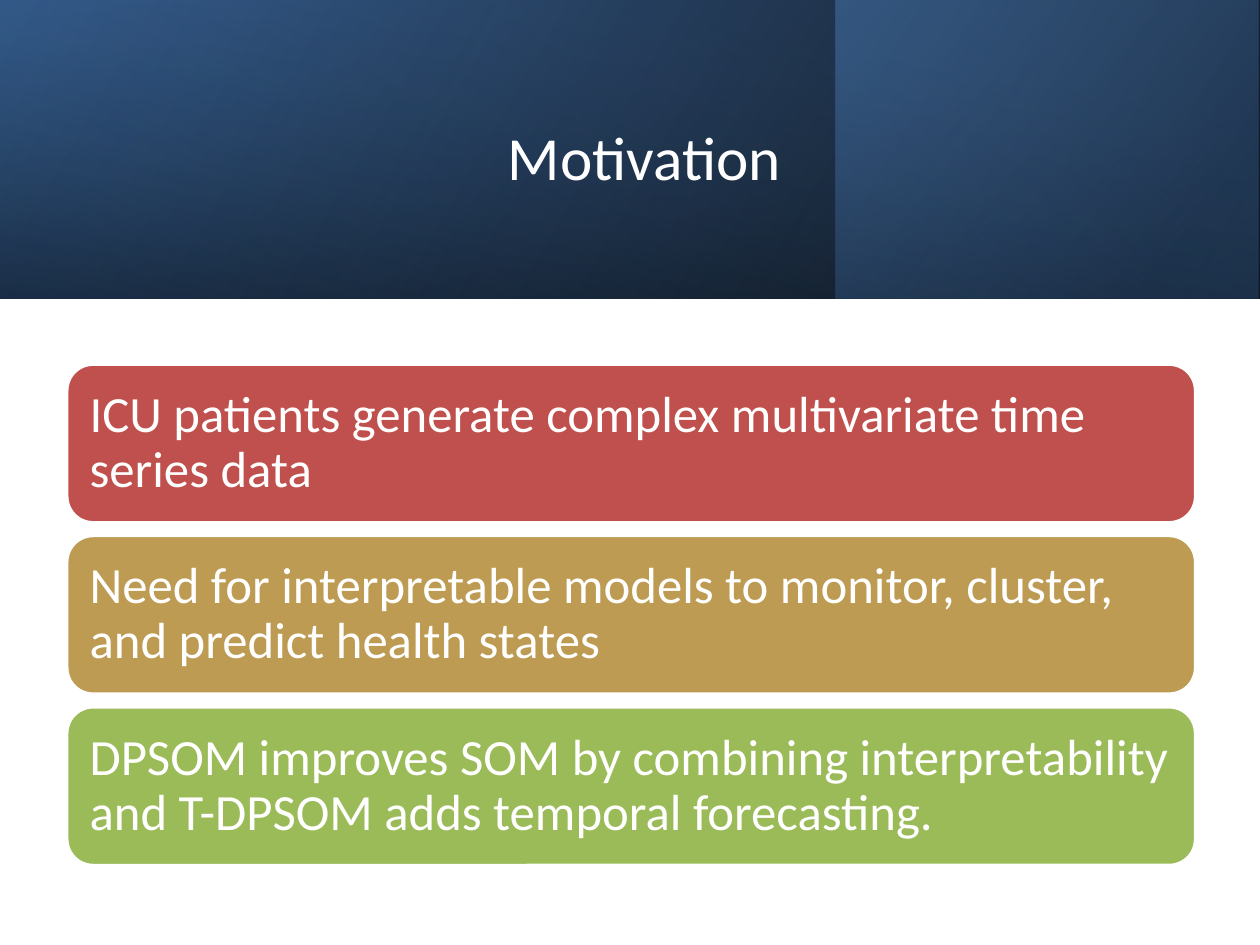
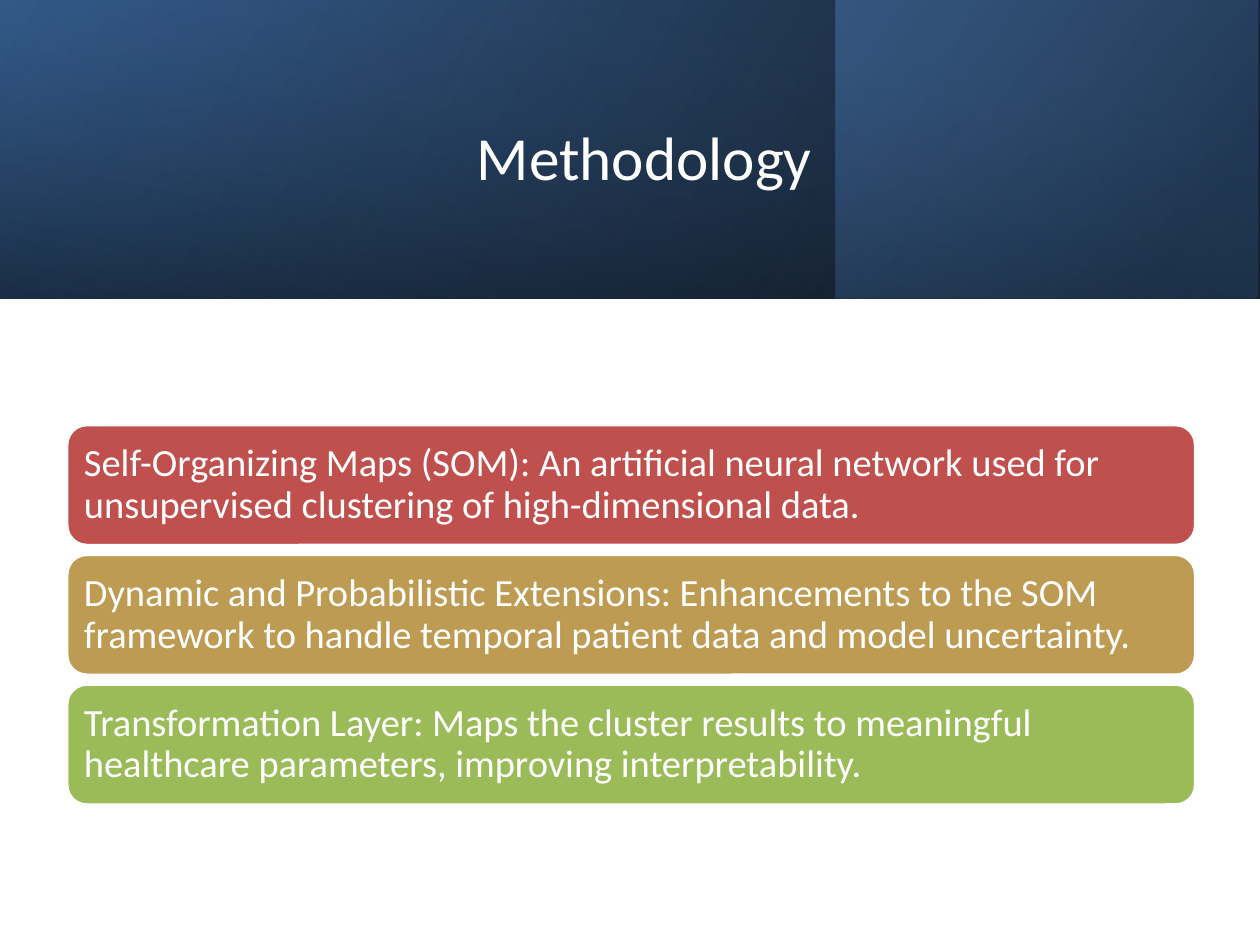
from pptx import Presentation
from pptx.dml.color import RGBColor
from pptx.enum import shapes, text
from pptx.oxml import parse_xml
from pptx.oxml.ns import nsdecls, qn
from pptx.util import Inches, Pt

WHITE = RGBColor(0xFF, 0xFF, 0xFF)
RED = RGBColor(0xC0, 0x50, 0x4D)
GOLD = RGBColor(0xBD, 0x9B, 0x53)
GREEN = RGBColor(0x9B, 0xBB, 0x59)
BLACK = RGBColor(0x00, 0x00, 0x00)
BLUE = RGBColor(0x4F, 0x81, 0xBD)
DARK_BLUE = RGBColor(0x37, 0x60, 0x92)
NAVY = RGBColor(0x25, 0x40, 0x61)
FONT = "Calibri"

SLIDE_WIDTH, SLIDE_HEIGHT = 10, 7.5
BAND_HEIGHT = 2.37
# The shade is drawn upright and turned, so it is centred on the band
SHADE_OFFSET = (SLIDE_WIDTH - BAND_HEIGHT) / 2

# Header layers: left, top, width, height, rotation, angle,
# gradient stops (position %, colour, opacity %)
HEADER_LAYERS = [
    (0, 0, SLIDE_WIDTH, BAND_HEIGHT, 0, 330,
     [(0, BLACK, 96), (100, DARK_BLUE, 100)]),
    (6.63, 0, 3.36, BAND_HEIGHT, 0, 320,
     [(19, NAVY, 68), (100, BLUE, 48)]),
    (SHADE_OFFSET, -SHADE_OFFSET, BAND_HEIGHT, SLIDE_WIDTH, 270, 350,
     [(23, DARK_BLUE, 16), (99, BLACK, 45)]),
]

# Slides: title, first box top, box height, pitch, inset, text size, messages
PAGES = [
    ("Motivation", 2.89, 1.26, 1.36, 0.12, 29, [
        "ICU patients generate complex multivariate time series data",
        "Need for interpretable models to monitor, cluster, and predict "
        "health states",
        "DPSOM improves SOM by combining interpretability and T-DPSOM adds "
        "temporal forecasting.",
    ]),
    ("Methodology", 3.37, 0.96, 1.03, 0.09, 22, [
        "Self-Organizing Maps (SOM): An artificial neural network used for "
        "unsupervised clustering of high-dimensional data.",
        "Dynamic and Probabilistic Extensions: Enhancements to the SOM "
        "framework to handle temporal patient data and model uncertainty.",
        "Transformation Layer: Maps the cluster results to meaningful "
        "healthcare parameters, improving interpretability.",
    ]),
]


def set_gradient(shape, stops, angle):
    """Fill a shape with a linear gradient of translucent colours."""
    stop_xml = "".join(
        f'<a:gs pos="{position * 1000}"><a:srgbClr val="{color}">'
        f'<a:alpha val="{opacity * 1000}"/></a:srgbClr></a:gs>'
        for position, color, opacity in stops)
    gradient = parse_xml(
        f'<a:gradFill {nsdecls("a")} rotWithShape="1">'
        f'<a:gsLst>{stop_xml}</a:gsLst>'
        f'<a:lin ang="{angle * 60000}" scaled="0"/></a:gradFill>')
    shape.fill.gradient()
    properties = shape.element.spPr
    properties.replace(properties.find(qn("a:gradFill")), gradient)


def write_text(shape, words, size, alignment):
    """Put one white, vertically centred paragraph into a shape."""
    frame = shape.text_frame
    frame.text = words
    frame.word_wrap = True
    frame.auto_size = text.MSO_AUTO_SIZE.NONE
    frame.vertical_anchor = text.MSO_ANCHOR.MIDDLE
    para = frame.paragraphs[0]
    para.alignment = alignment
    for span in para.runs:
        span.font.name = FONT
        span.font.size = Pt(size)
        span.font.color.rgb = WHITE
    return frame


deck = Presentation()
deck.slide_width = Inches(SLIDE_WIDTH)
deck.slide_height = Inches(SLIDE_HEIGHT)
title_only = deck.slide_layouts[5]

for heading, first_top, height, pitch, inset, size, messages in PAGES:
    page = deck.slides.add_slide(title_only)

    # Header band
    for left, top, width, tall, rotation, angle, stops in HEADER_LAYERS:
        band = page.shapes.add_shape(
            shapes.MSO_SHAPE.RECTANGLE,
            Inches(left), Inches(top), Inches(width), Inches(tall))
        band.shadow.inherit = False
        band.line.fill.background()
        band.rotation = rotation
        band.element.spPr.xfrm.set("flipH", "1")
        set_gradient(band, stops, angle)

    # Title, brought in front of the band
    title = page.shapes.title
    title.left, title.top = Inches(1.13), Inches(0.38)
    title.width, title.height = Inches(7.97), Inches(1.72)
    write_text(title, heading, 35, text.PP_ALIGN.CENTER)
    title.element.getparent().append(title.element)

    # Message boxes
    for row, (message, color) in enumerate(zip(messages, (RED, GOLD, GREEN))):
        box = page.shapes.add_shape(
            shapes.MSO_SHAPE.ROUNDED_RECTANGLE,
            Inches(0.53), Inches(first_top + row * pitch),
            Inches(8.96), Inches(height))
        box.shadow.inherit = False
        box.fill.solid()
        box.fill.fore_color.rgb = color
        box.line.color.rgb = WHITE
        box.line.width = Pt(2)
        frame = write_text(box, message, size, text.PP_ALIGN.LEFT)
        frame.margin_left = frame.margin_right = Inches(inset)
        frame.margin_top = frame.margin_bottom = Inches(inset)
        frame.paragraphs[0].line_spacing = 0.9

deck.save("out.pptx")
